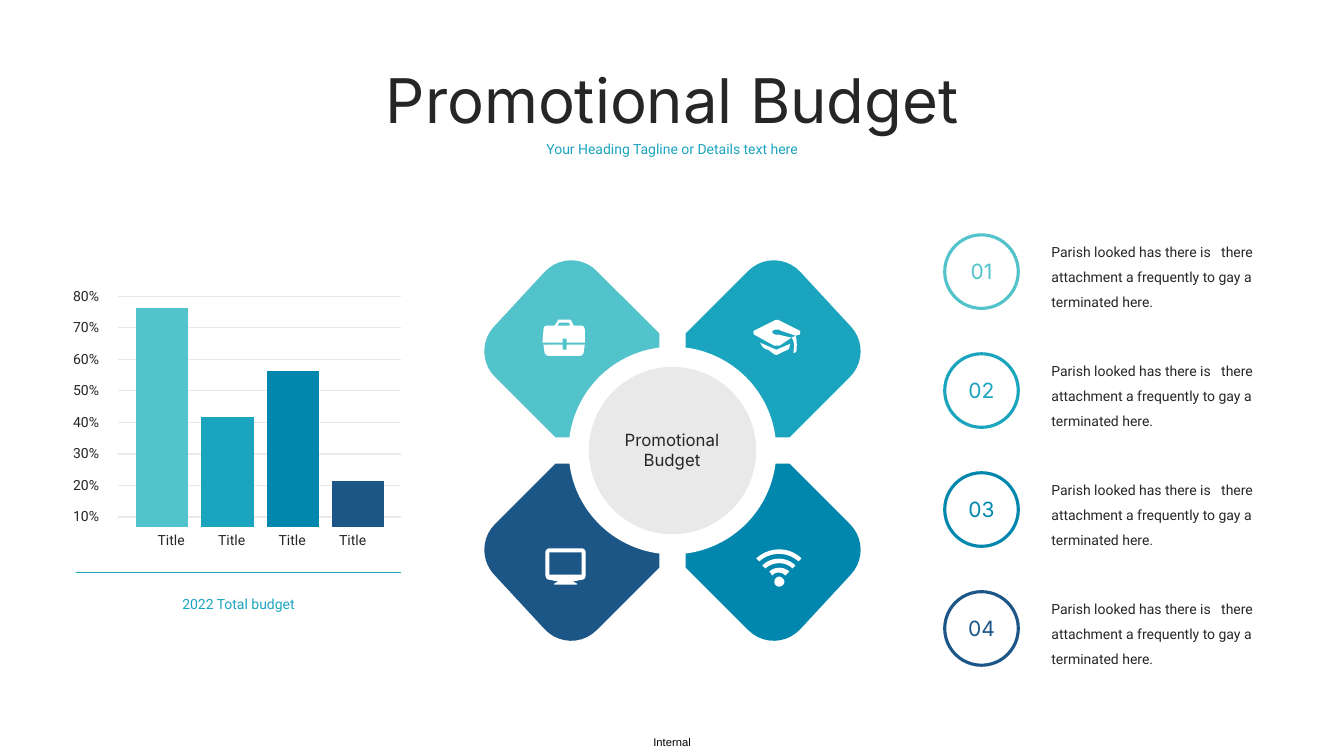
from lxml import etree
from pptx import Presentation
from pptx.chart.data import CategoryChartData
from pptx.dml.color import RGBColor
from pptx.enum.chart import XL_CHART_TYPE
from pptx.enum.shapes import MSO_CONNECTOR, MSO_SHAPE
from pptx.enum.text import MSO_AUTO_SIZE, PP_ALIGN
from pptx.oxml import parse_xml
from pptx.oxml.ns import nsdecls, qn
from pptx.util import Inches, Pt

COLUMNS = XL_CHART_TYPE.COLUMN_CLUSTERED
STRAIGHT = MSO_CONNECTOR.STRAIGHT
ELLIPSE = MSO_SHAPE.OVAL
GROW = MSO_AUTO_SIZE.SHAPE_TO_FIT_TEXT
LEFT, CENTER, RIGHT = PP_ALIGN.LEFT, PP_ALIGN.CENTER, PP_ALIGN.RIGHT

BLACK = RGBColor(0x00, 0x00, 0x00)
WHITE = RGBColor(0xFF, 0xFF, 0xFF)
INK = RGBColor(0x26, 0x26, 0x26)
GRAY = RGBColor(0xE9, 0xE9, 0xEA)
AQUA = RGBColor(0x52, 0xC3, 0xCB)
TEAL = RGBColor(0x1B, 0xA4, 0xBE)
BLUE = RGBColor(0x01, 0x87, 0xAE)
NAVY = RGBColor(0x1C, 0x56, 0x87)
PALETTE = [AQUA, TEAL, BLUE, NAVY]

BODY = {"name": "Roboto", "size": Pt(10)}
ITEM_TEXT = ("Parish looked has there is   there attachment a frequently "
             "to gay a terminated here.")

# Outlines: two numbers are a corner, six numbers are a Bezier curve.
# The petal is measured from the centre of the flower.
PETAL = [[(1.16, 0.13), (0.13, 0.13), (0.13, 1.16), (0.75, 1.78),
          (0.9, 1.93, 1.13, 1.92, 1.27, 1.77), (1.77, 1.23),
          (1.9, 1.09, 1.9, 0.87, 1.76, 0.73)]]
BRIEFCASE = [
    [(5.58, 3.36), (5.62, 3.36), (5.62, 3.4), (5.8, 3.4), (5.8, 3.28),
     (5.8, 3.25, 5.79, 3.23, 5.76, 3.23), (5.69, 3.23), (5.67, 3.19),
     (5.66, 3.17, 5.65, 3.17, 5.64, 3.17), (5.55, 3.17),
     (5.53, 3.17, 5.53, 3.17, 5.53, 3.19), (5.5, 3.23), (5.43, 3.23),
     (5.4, 3.23, 5.39, 3.25, 5.39, 3.28), (5.38, 3.4), (5.58, 3.4)],
    [(5.54, 3.21), (5.55, 3.2, 5.55, 3.2, 5.56, 3.2), (5.62, 3.2),
     (5.64, 3.2, 5.64, 3.2, 5.65, 3.21), (5.65, 3.23), (5.53, 3.23)],
    [(5.62, 3.47), (5.58, 3.47), (5.58, 3.42), (5.39, 3.42), (5.4, 3.49),
     (5.4, 3.5, 5.41, 3.53, 5.44, 3.53), (5.75, 3.53),
     (5.78, 3.53, 5.79, 3.5, 5.79, 3.49), (5.8, 3.42), (5.62, 3.42)]]
GRADUATION_CAP = [
    [(7.54, 3.4), (7.56, 3.44, 7.57, 3.46, 7.62, 3.47),
     (7.66, 3.5, 7.68, 3.52, 7.7, 3.52), (7.72, 3.52, 7.74, 3.5, 7.79, 3.48),
     (7.84, 3.46, 7.82, 3.46, 7.84, 3.41), (7.7, 3.47)],
    [(7.93, 3.28), (7.73, 3.18), (7.72, 3.17, 7.69, 3.17, 7.68, 3.18),
     (7.48, 3.28), (7.47, 3.29, 7.47, 3.3, 7.48, 3.32), (7.68, 3.43),
     (7.69, 3.43, 7.72, 3.43, 7.73, 3.43), (7.85, 3.35), (7.72, 3.32),
     (7.7, 3.32), (7.68, 3.32, 7.66, 3.31, 7.66, 3.29),
     (7.66, 3.28, 7.68, 3.27, 7.7, 3.27), (7.72, 3.27, 7.74, 3.27, 7.74, 3.28),
     (7.89, 3.33), (7.93, 3.32), (7.94, 3.3, 7.94, 3.29, 7.93, 3.28)],
    [(7.87, 3.49), (7.86, 3.5, 7.89, 3.51, 7.9, 3.48),
     (7.91, 3.37, 7.89, 3.33, 7.89, 3.33), (7.85, 3.35),
     (7.85, 3.35, 7.89, 3.38, 7.87, 3.49)]]
WIFI = [
    [(7.73, 5.72), (7.7, 5.72, 7.68, 5.75, 7.68, 5.77),
     (7.68, 5.8, 7.7, 5.82, 7.73, 5.82), (7.75, 5.82, 7.78, 5.8, 7.78, 5.77),
     (7.78, 5.75, 7.75, 5.72, 7.73, 5.72)],
    [(7.63, 5.67), (7.66, 5.71), (7.69, 5.67, 7.75, 5.67, 7.79, 5.71),
     (7.83, 5.67), (7.77, 5.62, 7.69, 5.62, 7.63, 5.67)],
    [(7.56, 5.61), (7.59, 5.64), (7.67, 5.57, 7.79, 5.57, 7.86, 5.64),
     (7.89, 5.61), (7.8, 5.52, 7.65, 5.52, 7.56, 5.61)],
    [(7.5, 5.54), (7.53, 5.57), (7.64, 5.47, 7.81, 5.47, 7.92, 5.57),
     (7.95, 5.54), (7.83, 5.42, 7.63, 5.42, 7.5, 5.54)]]
MONITOR = [
    [(5.77, 5.44), (5.45, 5.44), (5.43, 5.44, 5.41, 5.46, 5.41, 5.48),
     (5.41, 5.7), (5.41, 5.72, 5.42, 5.75, 5.44, 5.75), (5.54, 5.77),
     (5.54, 5.77, 5.46, 5.8, 5.51, 5.8), (5.71, 5.8),
     (5.76, 5.8, 5.68, 5.77, 5.68, 5.77), (5.78, 5.75),
     (5.8, 5.75, 5.81, 5.72, 5.81, 5.7), (5.81, 5.48),
     (5.81, 5.46, 5.79, 5.44, 5.77, 5.44)],
    [(5.77, 5.7), (5.45, 5.7), (5.45, 5.48), (5.77, 5.48)]]


def flatten(contour, steps=10):
    """Turn corners and curves into a list of points."""
    points = [contour[0]]
    for segment in contour[1:]:
        if len(segment) == 2:
            points.append(segment)
            continue
        controls = [points[-1], segment[:2], segment[2:4], segment[4:]]
        for step in range(1, steps + 1):
            t = step / steps
            weights = [(1 - t) ** 3, 3 * t * (1 - t) ** 2, 3 * t * t * (1 - t), t ** 3]
            points.append(tuple(sum(w * control[axis] for w, control in zip(weights, controls))
                                for axis in (0, 1)))
    return points


class SlideBuilder:
    def __init__(self, slide):
        self.shapes = slide.shapes

    def text(self, box, text, color, align=CENTER, spacing=None, inset=None, **font):
        shape = self.shapes.add_textbox(*map(Inches, box))
        frame = shape.text_frame
        frame.word_wrap = inset is None
        frame.auto_size = GROW
        if inset is not None:
            for side in ("left", "top", "right", "bottom"):
                setattr(frame, f"margin_{side}", Inches(inset))
        frame.text = text
        for paragraph in frame.paragraphs:
            paragraph.alignment = align
            paragraph.line_spacing = spacing
            for key, value in {**BODY, **font}.items():
                setattr(paragraph.font, key, value)
            paragraph.font.color.rgb = color

    def line(self, left, right, y, color, width):
        connector = self.shapes.add_connector(
            STRAIGHT, Inches(left), Inches(y), Inches(right), Inches(y))
        connector.line.color.rgb = color
        connector.line.width = Pt(width)
        etree.SubElement(connector.element.spPr, qn("a:effectLst"))

    def paint(self, shape, fill, outline=None):
        shape.shadow.inherit = False
        shape.fill.solid()
        shape.fill.fore_color.rgb = fill
        if outline is None:
            shape.line.fill.background()
        else:
            shape.line.color.rgb = outline
            shape.line.width = Pt(2.25)

    def circle(self, left, top, size, fill, outline=None):
        shape = self.shapes.add_shape(ELLIPSE, *map(Inches, (left, top, size, size)))
        self.paint(shape, fill, outline)

    def outline(self, contours, fill, origin=(0, 0), flip=(1, 1)):
        builder = None
        for contour in contours:
            points = [tuple(Inches(origin[axis] + flip[axis] * point[axis]) for axis in (0, 1))
                      for point in flatten(contour)]
            if builder is None:
                builder = self.shapes.build_freeform(*points[0], scale=1.0)
            else:
                builder.move_to(*points[0])
            builder.add_line_segments(points[1:], close=True)
        self.paint(builder.convert_to_shape(), fill)

    def column_chart(self, box, values, maximum, layout):
        data = CategoryChartData(number_format="General")
        data.categories = ["1"]
        for number, value in enumerate(values, 1):
            data.add_series(f"Series {number}", [value])
        chart = self.shapes.add_chart(COLUMNS, *map(Inches, box), data).chart
        chart.has_legend = chart.has_title = False
        chart.font.name, chart.font.size = "Calibri", Pt(10)
        chart.font.color.rgb = BLACK
        chart.category_axis.visible = chart.value_axis.visible = False
        for key, value in {"has_major_gridlines": False, "minimum_scale": 0,
                           "maximum_scale": maximum}.items():
            setattr(chart.value_axis, key, value)
        chart.value_axis.tick_labels.number_format = "0%"
        chart.value_axis.tick_labels.number_format_is_linked = False
        plot = chart.plots[0]
        plot.gap_width, plot.overlap, plot.vary_by_categories = 134, -25, False
        for series, color in zip(plot.series, PALETTE):
            series.format.fill.solid()
            series.format.fill.fore_color.rgb = color
        # Fix the inner plot area so the bars meet the drawn grid
        parts = "".join(f'<c:{key} val="{value}"/>' for key, value in layout.items())
        area = chart.element.find(".//" + qn("c:plotArea"))
        for old in area.findall(qn("c:layout")):
            area.remove(old)
        area.insert(0, parse_xml(f'<c:layout {nsdecls("c")}><c:manualLayout>'
                                 f'{parts}</c:manualLayout></c:layout>'))


def main():
    presentation = Presentation()
    presentation.slide_width, presentation.slide_height = Inches(13.33), Inches(7.5)
    page = SlideBuilder(presentation.slides.add_slide(presentation.slide_layouts[6]))

    # Footer and headings
    page.text((6.48, 7.3, 0.4, 0.13), "Internal", BLACK, LEFT, inset=0, name="Arial", size=Pt(8))
    page.text((3.47, 0.57, 6.4, 0.84), "Promotional Budget", INK, name="Inter", size=Pt(44))
    page.text((5.26, 1.34, 2.81, 0.27), "Your Heading Tagline or Details text here", TEAL)

    # Chart grid, labels and caption
    for row in range(8):
        drop = row * 2.19 / 7
        page.line(1.17, 3.98, 2.94 + drop, GRAY, 1 if row == 7 else 0.75)
        page.text((0.57, 2.8 + drop, 0.51, 0.27), f"{80 - 10 * row}%", INK, RIGHT)
    for column in range(4):
        page.text((1.42 + 0.6 * column, 5.22, 0.51, 0.27), "Title", INK, RIGHT)
    page.text((1.51, 5.86, 1.71, 0.27), "2022 Total budget", TEAL)
    page.line(0.75, 3.98, 5.68, TEAL, 1)

    # Flower with its hub and icons
    flips = [(-1, -1), (1, -1), (1, 1), (-1, 1)]
    for flip, color in zip(flips, PALETTE):
        page.outline(PETAL, color, (6.67, 4.47), flip)
    page.circle(5.64, 3.44, 2.06, WHITE)
    page.circle(5.84, 3.64, 1.66, GRAY)
    page.text((6.05, 4.21, 1.23, 0.5), "Promotional\nBudget", INK, name="Inter", size=Pt(12))
    for icon in (BRIEFCASE, GRADUATION_CAP, WIFI, MONITOR):
        page.outline(icon, WHITE)

    # Numbered items
    for index, color in enumerate(PALETTE):
        top = 2.33 + 1.18 * index
        page.circle(9.37, top, 0.73, WHITE, color)
        page.text((10.33, top - 0.05, 2.25, 0.83), ITEM_TEXT, INK, LEFT, spacing=1.5)
        page.text((9.4, top + 0.19, 0.67, 0.35), f"0{index + 1}", color, name="Inter", size=Pt(15))

    # Budget columns
    page.column_chart((0.94, 2.68, 3.28, 2.6), [100, 50, 71, 21], 110,
                      {"layoutTarget": "inner", "xMode": "edge", "yMode": "edge",
                       "x": 0.02, "y": 0.06, "w": 0.96, "h": 0.92})
    presentation.save("out.pptx")


if __name__ == "__main__":
    main()
